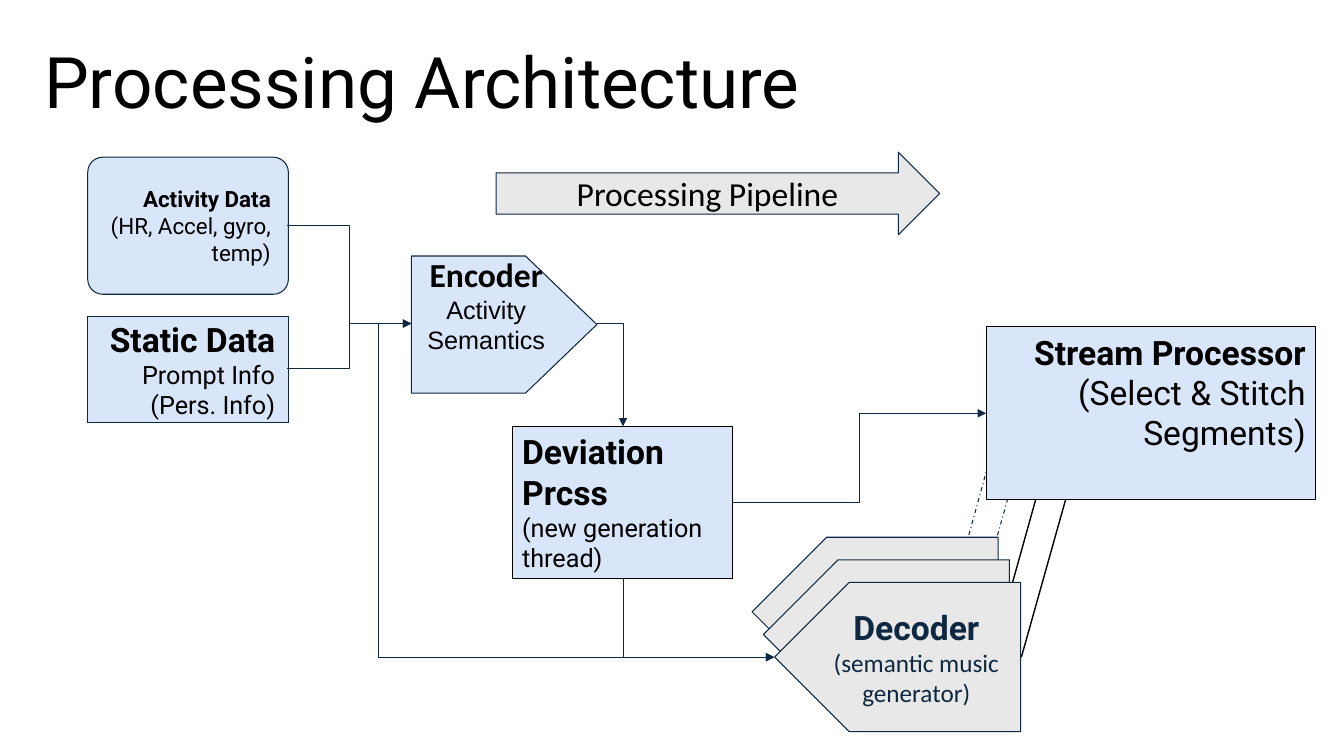
from lxml import etree
from pptx import Presentation
from pptx import util as u
from pptx.dml.color import RGBColor
from pptx.enum import dml, shapes, text
from pptx.oxml.ns import qn

BLACK = RGBColor(0x00, 0x00, 0x00)
NAVY = RGBColor(0x0E, 0x28, 0x41)
PALE_BLUE = RGBColor(0xD9, 0xE5, 0xF8)
GREY = RGBColor(0xE8, 0xE8, 0xE8)

# Square grid: 133.3 columns by 75 rows
COLUMNS, ROWS = 133.3, 75
CELL = u.Inches(0.1)

SHAPE = shapes.MSO_SHAPE
LEFT, CENTER, RIGHT = text.PP_ALIGN.LEFT, text.PP_ALIGN.CENTER, text.PP_ALIGN.RIGHT
ROOMY = (1.3, 1.3, 1.3, 1.3)
TIGHT = (1, 0.5, 1, 0.5)


def cells(*counts):
    return [round(count * CELL) for count in counts]


class Diagram:
    """Holds the slide and the style shared by its elements."""

    def __init__(self, slide):
        self.slide = slide

    def label(self, frame, lines, align, insets, anchor, color=BLACK):
        """Each line is (wording, size, bold, font)."""
        frame.word_wrap = True
        frame.vertical_anchor = anchor
        (frame.margin_left, frame.margin_top,
         frame.margin_right, frame.margin_bottom) = cells(*insets)
        frame.text = "\n".join(line[0] for line in lines)
        for paragraph, (_, size, bold, font) in zip(frame.paragraphs, lines):
            paragraph.alignment = align
            for run in paragraph.runs:
                run.font.size = u.Pt(size)
                run.font.bold = bold
                run.font.name = font
                run.font.color.rgb = color

    def title(self, wording, box, size):
        frame = self.slide.shapes.add_textbox(*cells(*box)).text_frame
        self.label(frame, [(wording, size, False, "Roboto")], LEFT, TIGHT,
                   text.MSO_ANCHOR.MIDDLE)
        frame.paragraphs[0].line_spacing = 0.9

    def block(self, kind, box, lines=(), fill=PALE_BLUE, line=NAVY, align=CENTER,
              insets=ROOMY, anchor=text.MSO_ANCHOR.MIDDLE, color=BLACK,
              adjust=None, mirrored=False):
        block = self.slide.shapes.add_shape(kind, *cells(*box))
        block.shadow.inherit = False
        block.fill.solid()
        block.fill.fore_color.rgb = fill
        block.line.color.rgb = line
        block.line.width = u.Pt(0.75)
        if adjust is not None:
            block.adjustments[0] = adjust
        if mirrored:
            block._element.spPr.find(qn("a:xfrm")).set("flipH", "1")
        if lines:
            self.label(block.text_frame, lines, align, insets, anchor, color)

    def arrow(self, start, end, kind=shapes.MSO_CONNECTOR.STRAIGHT, color=NAVY,
              width=0.75, dashed=False, bend=None, corner=False, head="tailEnd"):
        """bend places the middle leg of an elbow; corner gives a single turn."""
        arrow = self.slide.shapes.add_connector(kind, *cells(*start, *end))
        arrow.line.color.rgb = color
        arrow.line.width = u.Pt(width)
        if dashed:
            arrow.line.dash_style = dml.MSO_LINE.DASH_DOT
        properties = arrow._element.spPr
        geometry = properties.find(qn("a:prstGeom"))
        if corner:
            geometry.set("prst", "bentConnector2")
        if bend is not None:
            etree.SubElement(geometry.find(qn("a:avLst")), qn("a:gd"),
                             name="adj1", fmla=f"val {round(bend * 100000)}")
        etree.SubElement(properties.find(qn("a:ln")), qn(f"a:{head}"), type="triangle")
        etree.SubElement(properties, qn("a:effectLst"))

    def elbow(self, start, end, **options):
        self.arrow(start, end, shapes.MSO_CONNECTOR.ELBOW, **options)


def main():
    deck = Presentation()
    deck.slide_width, deck.slide_height = cells(COLUMNS, ROWS)
    diagram = Diagram(deck.slides.add_slide(deck.slide_layouts[6]))

    # Heading and direction of flow
    diagram.title("Processing Architecture", (3.4, 3.7, 93.2, 9.6), 50.7)
    diagram.block(SHAPE.RIGHT_ARROW, (49.2, 15.1, 44, 8.2),
                  [("Processing Pipeline", 24, False, "Calibri")], fill=GREY)

    # Streams that start behind the decoders
    diagram.arrow((99, 62.9), (105.7, 38.9), color=BLACK, width=1)
    for start, end in (((96.8, 60.7), (101.8, 42.9)), ((94.6, 58.5), (99.5, 40.7))):
        diagram.arrow(start, end, dashed=True)

    # Stack of decoders, the front one labelled
    decoder = [("Decoder", 24, True, "Roboto"),
               ("(semantic music generator)", 18, False, "Calibri")]
    for layer, lines in enumerate(((), (), decoder)):
        diagram.block(SHAPE.PENTAGON,
                      (74.6 + 1.12 * layer, 53.3 + 2.24 * layer, 24.4, 14.8),
                      lines, fill=GREY, color=NAVY, adjust=0.5, mirrored=True)
    diagram.arrow((101.3, 65.2), (107.2, 44.2), color=BLACK, width=1)

    # Input data
    diagram.block(SHAPE.ROUNDED_RECTANGLE, (8.7, 15.6, 19.9, 13.6),
                  [("Activity Data", 16, True, "Roboto"),
                   ("(HR, Accel, gyro, temp)", 16, False, "Roboto")],
                  align=RIGHT, adjust=0.11)
    diagram.block(SHAPE.RECTANGLE, (8.7, 31.4, 19.9, 10.5),
                  [("Static Data", 24, True, "Roboto"),
                   ("Prompt Info\v(Pers. Info)", 18, False, "Roboto")], align=RIGHT)

    # Processing steps
    diagram.block(SHAPE.PENTAGON, (40.8, 25.4, 18.4, 13.6),
                  [("Encoder", 24, True, "Calibri"),
                   ("Activity Semantics", 18, False, "Arial")],
                  insets=(1.3, 1.3, 1.3, 5.3), adjust=0.52)
    diagram.block(SHAPE.RECTANGLE, (50.8, 42.3, 21.9, 15.1),
                  [("Deviation Prcss", 24, True, "Roboto"),
                   ("(new generation thread)", 18, False, "Roboto")],
                  line=BLACK, align=LEFT, insets=TIGHT, anchor=text.MSO_ANCHOR.TOP)
    diagram.block(SHAPE.RECTANGLE, (97.8, 32.4, 32.7, 17.2),
                  [("Stream Processor", 24, True, "Roboto"),
                   ("(Select & Stitch Segments)", 24, False, "Roboto")],
                  line=BLACK, align=RIGHT, insets=TIGHT, anchor=text.MSO_ANCHOR.TOP)

    # Links between the steps
    encoder_in, decoder_in = (40.8, 32.1), (76.8, 65.2)
    for data_out in ((28.5, 22.4), (28.5, 36.6)):
        diagram.elbow(data_out, encoder_in, bend=0.5)
    diagram.elbow(encoder_in, decoder_in, bend=-0.09)
    diagram.elbow((59.2, 32.1), (61.8, 42.3), corner=True)
    diagram.elbow((72.7, 49.9), (97.8, 41), bend=0.5)
    diagram.elbow(decoder_in, (61.8, 57.4), corner=True, head="headEnd")

    deck.save("out.pptx")


if __name__ == "__main__":
    main()
